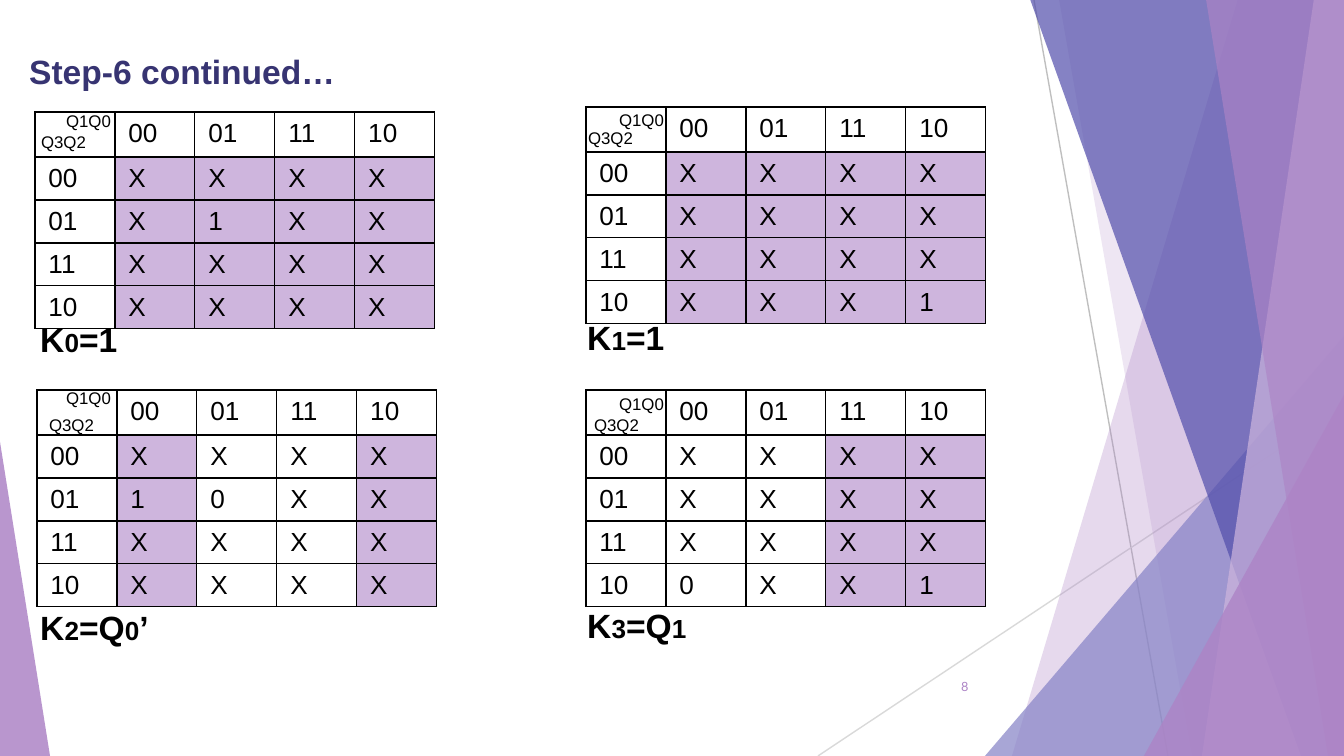
from dataclasses import dataclass

from lxml import etree
from pptx import Presentation
from pptx.dml.color import RGBColor
from pptx.enum.shapes import MSO_CONNECTOR, MSO_SHAPE
from pptx.enum.text import MSO_ANCHOR, PP_ALIGN
from pptx.oxml.ns import qn
from pptx.util import Emu, Pt

STRAIGHT = MSO_CONNECTOR.STRAIGHT
TRIANGLE = MSO_SHAPE.ISOSCELES_TRIANGLE
LEFT, CENTER = PP_ALIGN.LEFT, PP_ALIGN.CENTER
TOP, MIDDLE = MSO_ANCHOR.TOP, MSO_ANCHOR.MIDDLE


@dataclass(frozen=True)
class Theme:
    font: str = "Arial"
    number_font: str = "Lato"
    ink: str = "000000"
    title: str = "373472"
    purple: str = "AD84C6"
    lilac: str = "CEB5DD"
    blue: str = "8784C7"
    indigo: str = "524EAB"
    large: float = 18
    cell: float = 14
    axis: float = 9
    number: float = 6.8
    line: float = 0.75


THEME = Theme()
WIDTH, HEIGHT = 1344, 756
COLUMN, HEADER_ROW, BODY_ROW = 80, 45, 43

# Content: Karnaugh maps, with label parts alternating between base and index
GRAY_CODE = ["00", "01", "11", "10"]
MAPS = [
    dict(at=(35, 112), rows=["XXXX", "X1XX", "XXXX", "XXXX"], shaded=(0, 1, 2, 3),
         result=["K", "0", "=1"], result_at=(27, 306),
         rows_at=(27, 125), columns_at=(52, 104)),
    dict(at=(586, 107), rows=["XXXX", "XXXX", "XXXX", "XXX1"], shaded=(0, 1, 2, 3),
         result=["K", "1", "=1"], result_at=(574, 304),
         rows_at=(574, 121), columns_at=(605, 103)),
    dict(at=(37, 390), rows=["XXXX", "10XX", "XXXX", "XXXX"], shaded=(0, 3),
         result=["K", "2", "=Q", "0", "’"], result_at=(27, 594),
         rows_at=(35, 408), columns_at=(52, 381)),
    dict(at=(586, 390), rows=["XXXX", "XXXX", "XXXX", "0XX1"], shaded=(2, 3),
         result=["K", "3", "=Q", "1"], result_at=(574, 592),
         rows_at=(580, 408), columns_at=(605, 387)),
]

# Background: lines, bands (top x, bottom x) and triangles (left, top, width, apex)
LINES = [((1034, 0), (1168, HEIGHT), "BFBFBF"), ((WIDTH, 406), (818, HEIGHT), "D9D9D9")]
FACETS = [
    ("band", (1238, 1012), THEME.purple, 30),
    ("band", (1059, 1192), THEME.purple, 20),
    ("triangle", (985, 336, 359, 1), THEME.blue, 72),
    ("band", (1030, 1301), THEME.indigo, 70),
    ("band", (1314, 1202), THEME.lilac, 70),
    ("band", (1206, 1328), THEME.purple, 65),
    ("triangle", (1144, 395, 200, 1), THEME.purple, 80),
    ("triangle", (0, 442, 50, 0), THEME.purple, 85),
]


def px(value):
    return Emu(round(value * 914400 / 134.4))


def style_run(run, size, color=THEME.ink, bold=False, font=THEME.font):
    run.font.name = font
    run.font.size = Pt(size)
    run.font.bold = bold
    run.font.color.rgb = RGBColor.from_string(color)


def add_text(slide, box, parts, sizes, color=THEME.ink, bold=False, font=THEME.font,
             align=LEFT, anchor=TOP, wrap=False):
    text_box = slide.shapes.add_textbox(*map(px, box))
    frame = text_box.text_frame
    frame.word_wrap = wrap
    frame.vertical_anchor = anchor
    paragraph = frame.paragraphs[0]
    paragraph.alignment = align
    for index, part in enumerate(parts):
        run = paragraph.add_run()
        run.text = part
        style_run(run, sizes[index % len(sizes)], color, bold, font)
    return frame


def add_facet(slide, kind, geometry, color, opacity):
    if kind == "band":
        top_x, bottom_x = geometry
        builder = slide.shapes.build_freeform(px(top_x), px(-1))
        corners = [(WIDTH, -1), (WIDTH, HEIGHT), (bottom_x, HEIGHT)]
        builder.add_line_segments([(px(x), px(y)) for x, y in corners])
        shape = builder.convert_to_shape()
    else:
        left, top, width, apex = geometry
        shape = slide.shapes.add_shape(TRIANGLE, px(left), px(top), px(width), px(HEIGHT - top))
        shape.adjustments[0] = apex
    shape.shadow.inherit = False
    shape.line.fill.background()
    shape.fill.solid()
    shape.fill.fore_color.rgb = RGBColor.from_string(color)
    color_node = shape.fill._xPr.find(".//" + qn("a:srgbClr"))
    etree.SubElement(color_node, qn("a:alpha"), val=str(opacity * 1000))


def add_line(slide, start, end, color):
    line = slide.shapes.add_connector(STRAIGHT, *map(px, start + end))
    line.line.color.rgb = RGBColor.from_string(color)
    line.line.width = Pt(THEME.line)
    etree.SubElement(line._element.spPr, qn("a:effectLst"))


def style_cell(cell, shaded):
    properties = cell._tc.get_or_add_tcPr()
    for side in ("lnL", "lnR", "lnT", "lnB"):
        border = etree.SubElement(properties, qn("a:" + side), w=str(Pt(THEME.line)))
        fill = etree.SubElement(border, qn("a:solidFill"))
        etree.SubElement(fill, qn("a:srgbClr"), val=THEME.ink)
    if shaded:
        cell.fill.solid()
        cell.fill.fore_color.rgb = RGBColor.from_string(THEME.lilac)
    else:
        cell.fill.background()
    # A slim bottom margin keeps the text from stretching its row
    cell.margin_bottom = px(2)
    for run in cell.text_frame.paragraphs[0].runs:
        style_run(run, THEME.cell)


def add_map(slide, left, top, rows, shaded):
    grid = [[""] + GRAY_CODE] + [[code, *row] for code, row in zip(GRAY_CODE, rows)]
    size = len(grid)
    height = HEADER_ROW + (size - 1) * BODY_ROW
    table = slide.shapes.add_table(
        size, size, px(left), px(top), px(size * COLUMN), px(height)).table
    table.first_row = table.horz_banding = False
    for column in table.columns:
        column.width = px(COLUMN)
    for row_index, values in enumerate(grid):
        table.rows[row_index].height = px(BODY_ROW if row_index else HEADER_ROW)
        for column_index, value in enumerate(values):
            cell = table.cell(row_index, column_index)
            cell.text = value
            style_cell(cell, row_index > 0 and column_index - 1 in shaded)
    # The empty corner must not stretch the header row
    corner = table.cell(0, 0)
    corner.margin_top = corner.margin_bottom = 0


def main():
    presentation = Presentation()
    presentation.slide_width, presentation.slide_height = px(WIDTH), px(HEIGHT)
    slide = presentation.slides.add_slide(presentation.slide_layouts[6])

    # Background
    for line in LINES:
        add_line(slide, *line)
    for facet in FACETS:
        add_facet(slide, *facet)

    # Slide number and maps
    add_text(slide, (948, 666, 75, 40), ["8"], [THEME.number], THEME.purple,
             font=THEME.number_font, anchor=MIDDLE, wrap=True)
    for item in MAPS:
        add_map(slide, *item["at"], item["rows"], item["shaded"])

    # Results and axis names
    for item in MAPS:
        frame = add_text(slide, (*item["result_at"], 359, 73), item["result"],
                         [THEME.large, THEME.cell], bold=True, wrap=True)
        frame.margin_top = frame.margin_bottom = px(13)
        frame.paragraphs[0].space_before = Pt(6)
        for name, place in (("Q3Q2", "rows_at"), ("Q1Q0", "columns_at")):
            add_text(slide, (*item[place], 73, 34), [name], [THEME.axis], align=CENTER)

    # Title
    add_text(slide, (16, 44, 336, 54), ["Step-6 continued…"], [THEME.large],
             THEME.title, bold=True)
    presentation.save("out.pptx")


if __name__ == "__main__":
    main()
